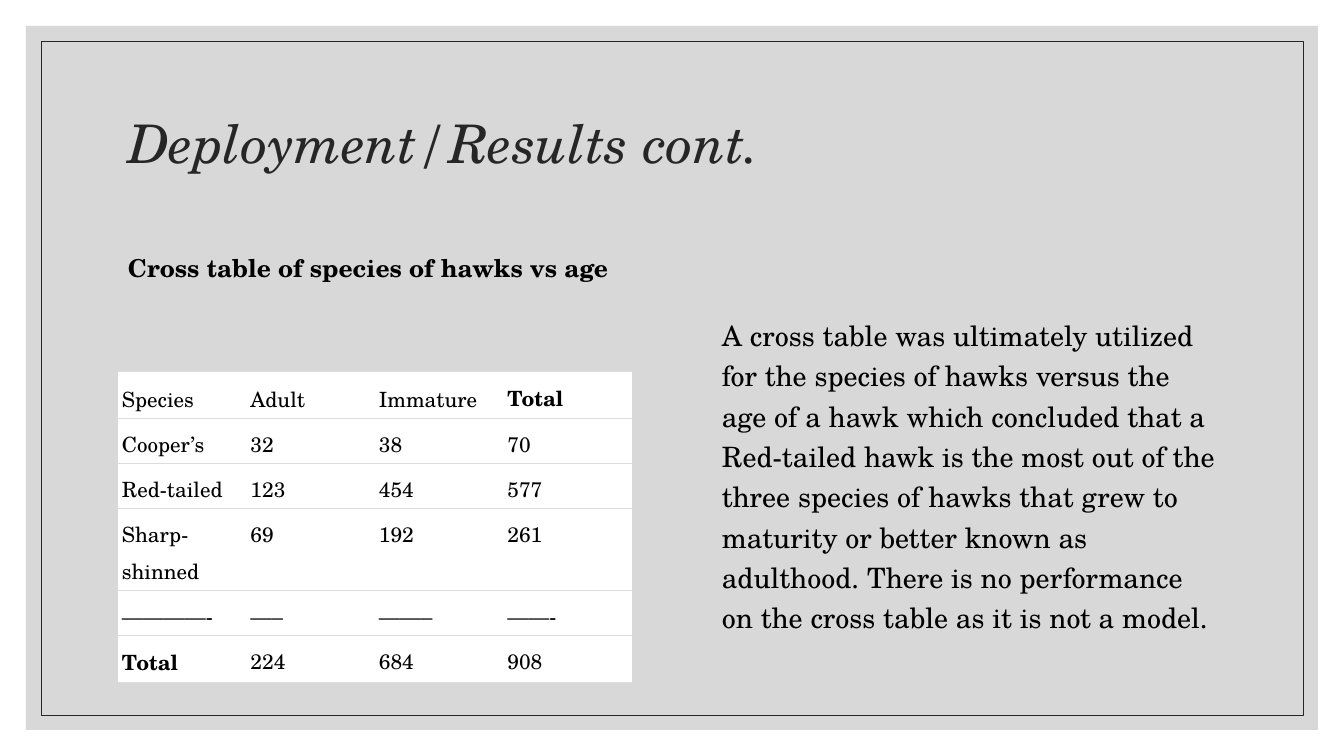
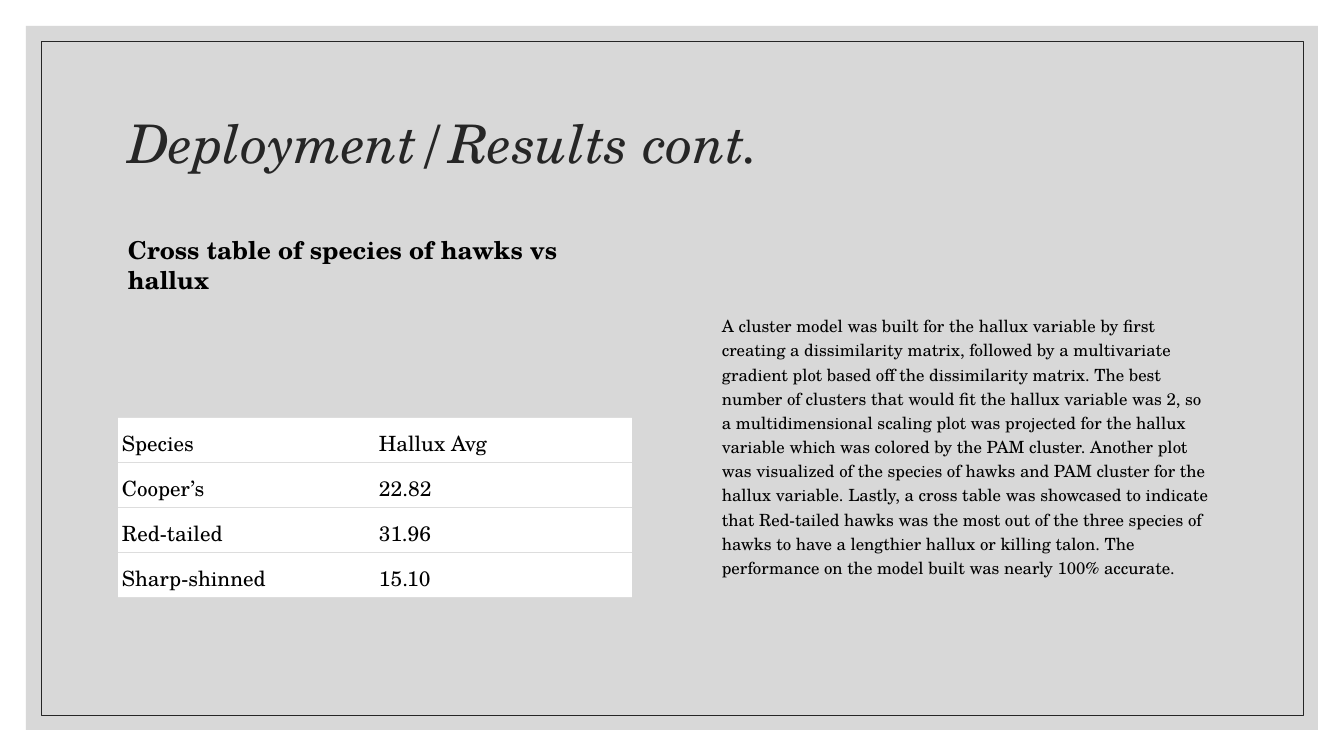
from dataclasses import dataclass

from lxml import etree
from pptx import Presentation
from pptx.dml.color import RGBColor
from pptx.enum.shapes import MSO_SHAPE
from pptx.enum.text import MSO_ANCHOR, MSO_AUTO_SIZE, PP_ALIGN
from pptx.oxml.ns import qn
from pptx.shapes.autoshape import Shape
from pptx.slide import Slide
from pptx.table import _Cell
from pptx.text.text import TextFrame
from pptx.util import Pt

RECT = MSO_SHAPE.RECTANGLE
TOP, MIDDLE, BOTTOM = MSO_ANCHOR.TOP, MSO_ANCHOR.MIDDLE, MSO_ANCHOR.BOTTOM
LEFT = PP_ALIGN.LEFT
FIXED = MSO_AUTO_SIZE.NONE

WHITE = RGBColor(0xFF, 0xFF, 0xFF)
GRAY = RGBColor(0xBF, 0xBF, 0xBF)
RULE = RGBColor(0xDD, 0xDD, 0xDD)
DARK = RGBColor(0x26, 0x26, 0x26)
BLACK = RGBColor(0, 0, 0)

FONT = "TeX Gyre Schola"
WIDE, HIGH = 1344, 756
BAND, FRAME = 26, 41
MARGIN, SIDE = 118, 712
COLUMN = 514
ROW, LINE = 38, 31
INSET = 4


def px(count: int) -> int:
    return round(count * 914400 / 100.8)


@dataclass(frozen=True)
class Box:
    left: int
    top: int
    width: int
    height: int

    def emu(self) -> tuple[int, int, int, int]:
        return px(self.left), px(self.top), px(self.width), px(self.height)


@dataclass(frozen=True)
class Style:
    size: float
    color: RGBColor = BLACK
    bold: bool = False
    italic: bool = False
    space: float = 1.2
    anchor: MSO_ANCHOR = TOP


@dataclass(frozen=True)
class Page:
    head: str
    space: float
    rows: list[list[str]]
    top: int
    body: str
    size: int


TITLE = Style(38, DARK, italic=True, space=0.9, anchor=MIDDLE)
TITLE_BOX = Box(MARGIN, 71, 1109, 151)
HEAD_BOX = Box(MARGIN, 229, COLUMN, 71)
BODY_BOX = Box(SIDE, 307, COLUMN, 349)

PAGES = [
    Page(
        "Cross table of species of hawks vs age",
        1.2,
        [
            ["Species", "Adult", "Immature", "Total"],
            ["Cooper’s", "32", "38", "70"],
            ["Red-tailed", "123", "454", "577"],
            ["Sharp-shinned", "69", "192", "261"],
            ["————-", "—–", "——–", "——-"],
            ["Total", "224", "684", "908"],
        ],
        371,
        "A cross table was ultimately utilized for the species of hawks versus "
        "the age of a hawk which concluded that a Red-tailed hawk is the most "
        "out of the three species of hawks that grew to maturity or better "
        "known as adulthood. There is no performance on the cross table as it "
        "is not a model.",
        20,
    ),
    Page(
        "Cross table of species of hawks vs hallux",
        1.0,
        [
            ["Species", "Hallux Avg"],
            ["Cooper’s", "22.82"],
            ["Red-tailed", "31.96"],
            ["Sharp-shinned", "15.10"],
        ],
        417,
        "A cluster model was built for the hallux variable by first creating a "
        "dissimilarity matrix, followed by a multivariate gradient plot based "
        "off the dissimilarity matrix. The best number of clusters that would "
        "fit the hallux variable was 2, so a multidimensional scaling plot was "
        "projected for the hallux variable which was colored by the PAM "
        "cluster. Another plot was visualized of the species of hawks and PAM "
        "cluster for the hallux variable. Lastly, a cross table was showcased "
        "to indicate that Red-tailed hawks was the most out of the three "
        "species of hawks to have a lengthier hallux or killing talon. The "
        "performance on the model built was nearly 100% accurate.",
        12,
    ),
]


def write(frame: TextFrame, text: str, style: Style) -> None:
    frame.text = text
    para = frame.paragraphs[0]
    para.alignment = LEFT
    para.line_spacing = style.space
    font = para.runs[0].font
    font.name, font.size = FONT, Pt(style.size)
    font.bold, font.italic = style.bold, style.italic
    font.color.rgb = style.color


def fill_box(shape: Shape, text: str, style: Style) -> None:
    frame = shape.text_frame
    frame.word_wrap = True
    frame.auto_size = FIXED
    frame.vertical_anchor = style.anchor
    write(frame, text, style)


def add_text(slide: Slide, box: Box, text: str, style: Style) -> None:
    fill_box(slide.shapes.add_textbox(*box.emu()), text, style)


def add_rect(slide: Slide, edge: int) -> Shape:
    box = Box(edge, edge, WIDE - 2 * edge, HIGH - 2 * edge)
    rect = slide.shapes.add_shape(RECT, *box.emu())
    rect.shadow.inherit = False
    return rect


def add_frame(slide: Slide) -> None:
    band = add_rect(slide, BAND)
    band.fill.solid()
    band.fill.fore_color.rgb = GRAY
    band.line.fill.background()
    tint = band._element.spPr.find(qn("a:solidFill")).find(qn("a:srgbClr"))
    etree.SubElement(tint, qn("a:alpha"), val="60000")
    rim = add_rect(slide, FRAME)
    rim.fill.background()
    rim.line.color.rgb = DARK
    rim.line.width = Pt(0.5)


def add_title(slide: Slide, text: str) -> None:
    title = slide.shapes.title
    title.left, title.top, title.width, title.height = TITLE_BOX.emu()
    fill_box(title, text, TITLE)
    slide.shapes._spTree.append(title._element)


def rule_cell(cell: _Cell) -> None:
    props = cell._tc.get_or_add_tcPr()
    for side in "LR":
        line = etree.SubElement(props, qn(f"a:ln{side}"), w="0")
        etree.SubElement(line, qn("a:noFill"))
    for side in "TB":
        line = etree.SubElement(props, qn(f"a:ln{side}"), w=str(Pt(0.6)))
        paint = etree.SubElement(line, qn("a:solidFill"))
        etree.SubElement(paint, qn("a:srgbClr"), val=str(RULE))


def add_grid(slide: Slide, rows: list[list[str]], top: int) -> None:
    count = len(rows[0])
    box = Box(MARGIN, top, COLUMN, ROW * len(rows))
    grid = slide.shapes.add_table(len(rows), count, *box.emu()).table
    grid.first_row = grid.horz_banding = False
    for col in grid.columns:
        col.width = px(COLUMN) // count
    for i, row in enumerate(rows):
        wraps = count > 2 and row[0] == "Sharp-shinned"
        grid.rows[i].height = px(ROW + LINE * wraps)
        for j, text in enumerate(row):
            cell = grid.cell(i, j)
            rule_cell(cell)
            cell.fill.solid()
            cell.fill.fore_color.rgb = WHITE
            cell.margin_left = cell.margin_right = px(INSET)
            cell.margin_top = cell.margin_bottom = px(INSET)
            cell.vertical_anchor = TOP if i else BOTTOM
            write(cell.text_frame, text, Style(15, bold=text == "Total"))


def add_page(slide: Slide, page: Page) -> None:
    add_frame(slide)
    add_title(slide, "Deployment/Results cont.")
    head = Style(17.6, bold=True, space=page.space, anchor=MIDDLE)
    add_text(slide, HEAD_BOX, page.head, head)
    add_grid(slide, page.rows, page.top)
    add_text(slide, BODY_BOX, page.body, Style(page.size))


def main() -> None:
    deck = Presentation()
    deck.slide_width, deck.slide_height = px(WIDE), px(HIGH)
    for page in PAGES:
        add_page(deck.slides.add_slide(deck.slide_layouts[5]), page)
    deck.save("out.pptx")


if __name__ == "__main__":
    main()
